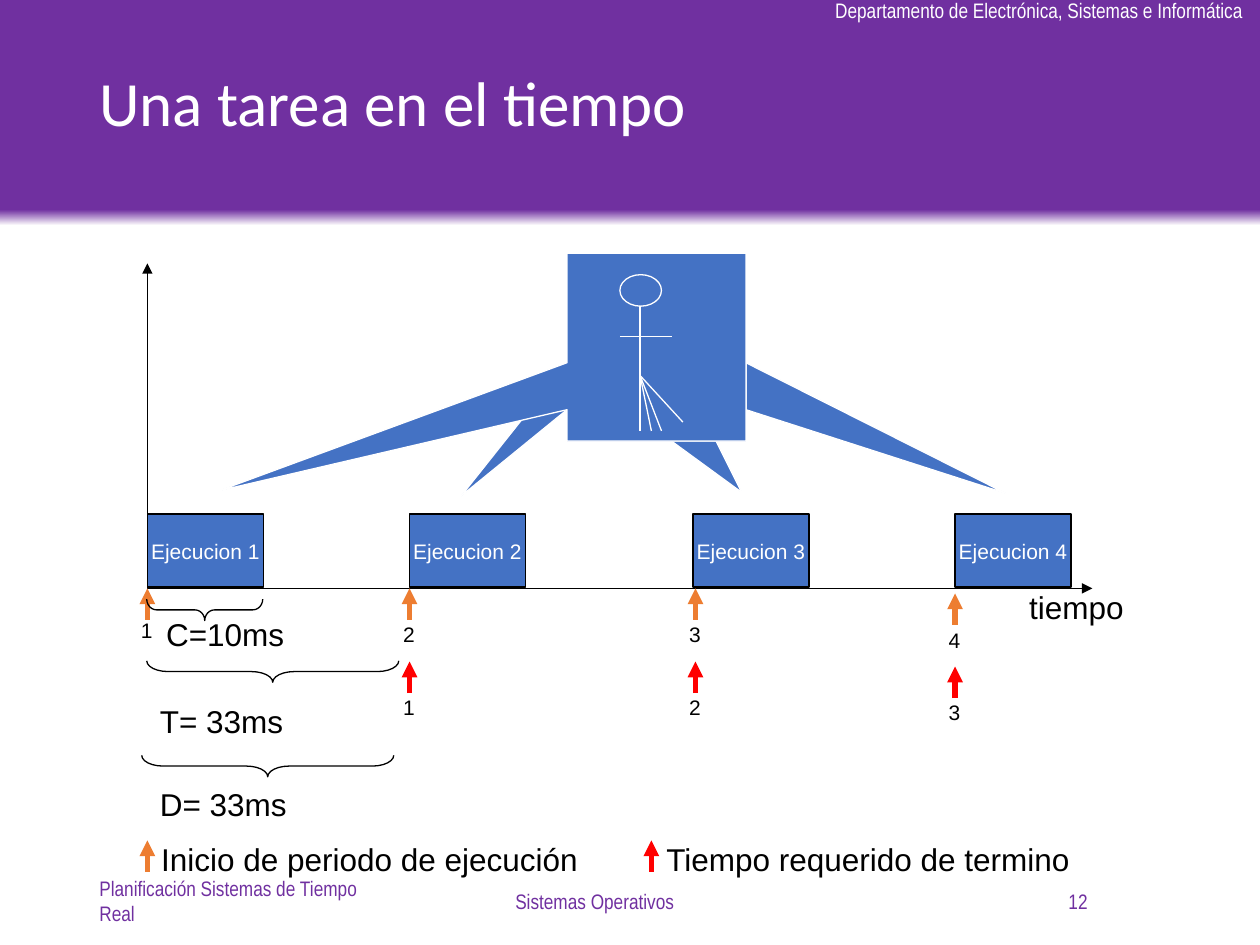
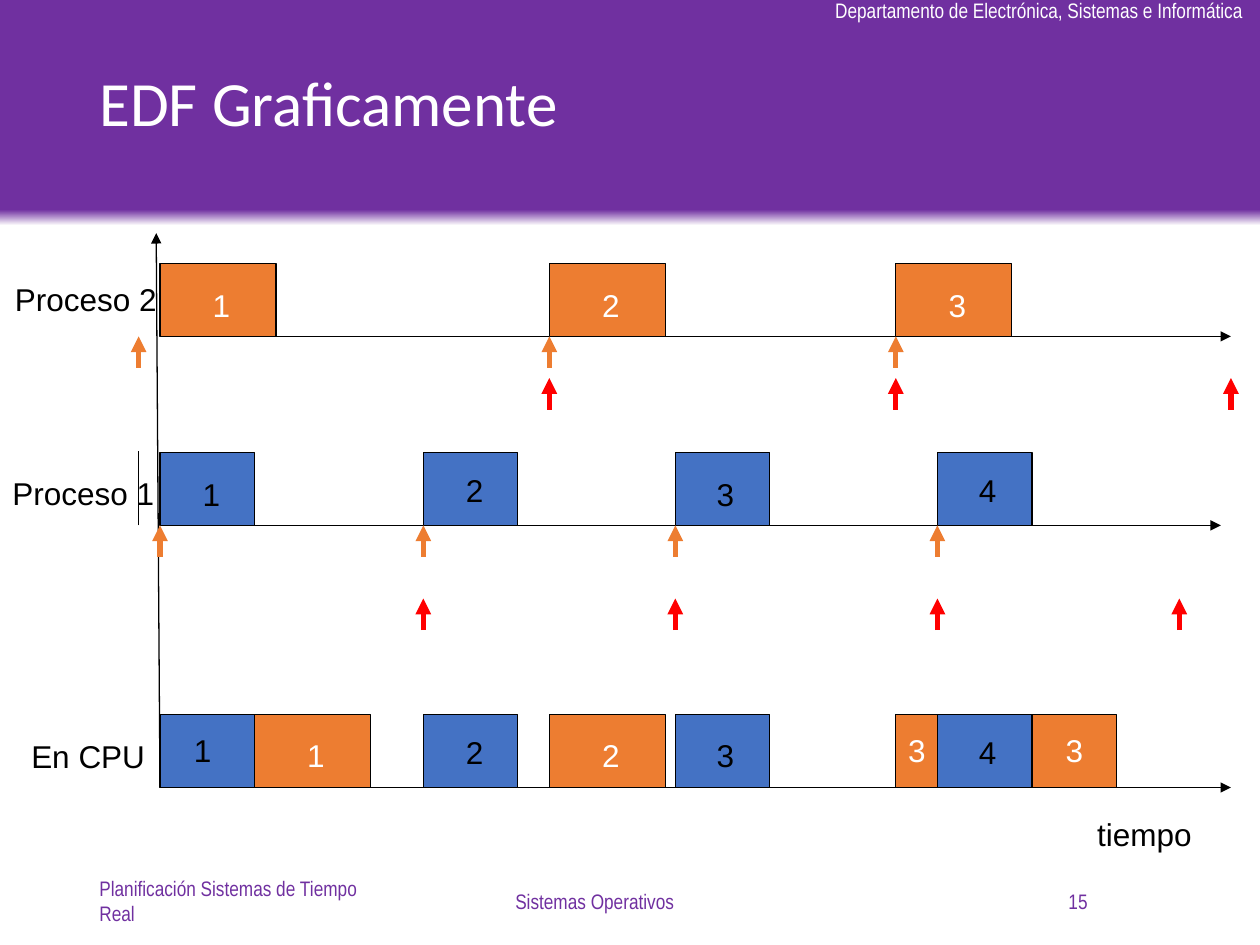
from lxml.etree import SubElement
from pptx import Presentation
from pptx.dml.color import RGBColor
from pptx.enum.shapes import MSO_CONNECTOR, MSO_SHAPE
from pptx.enum.text import MSO_ANCHOR, MSO_AUTO_SIZE, PP_ALIGN
from pptx.oxml.ns import qn
from pptx.util import Inches, Pt

COLORS = {
    "purple": "7030A0", "blue": "4472C4", "orange": "ED7D31",
    "red": "FF0000", "black": "000000", "white": "FFFFFF",
}
RGB = {name: RGBColor.from_string(value) for name, value in COLORS.items()}


def place(slide, at, text="", kind=None, fill=None, outline=None, adjust=(), rotation=0,
          size=18, font="Arial", color="black", align=PP_ALIGN.LEFT,
          anchor=MSO_ANCHOR.TOP, wrap=False, spacing=None):
    """Add a text box, or a preset shape when kind is given; at is left, top, width, height."""
    box = [Inches(value) for value in at]
    if kind is None:
        item = slide.shapes.add_textbox(*box)
    else:
        item = slide.shapes.add_shape(kind, *box)
        item.shadow.inherit = False
        item.rotation = rotation
        for index, value in enumerate(adjust):
            item.adjustments[index] = value
        if fill:
            item.fill.solid()
            item.fill.fore_color.rgb = RGB[fill]
        else:
            item.fill.background()
        if outline:
            item.line.color.rgb = RGB[outline]
            item.line.width = Pt(0.75)
        else:
            item.line.fill.background()
    if text:
        frame = item.text_frame
        frame.word_wrap = wrap
        frame.vertical_anchor = anchor
        if kind is None and not wrap:
            frame.auto_size = MSO_AUTO_SIZE.SHAPE_TO_FIT_TEXT
        paragraph = frame.paragraphs[0]
        paragraph.alignment = align
        paragraph.line_spacing = spacing
        run = paragraph.add_run()
        run.text = text
        run.font.size = Pt(size)
        run.font.name = font
        run.font.color.rgb = RGB[color]
    return item


def connect(slide, x1, y1, x2, y2, color="black", width=0.75, arrow=True):
    """Draw a straight line, with an arrowhead at its second point if wanted."""
    line = slide.shapes.add_connector(
        MSO_CONNECTOR.STRAIGHT, *[Inches(value) for value in (x1, y1, x2, y2)])
    line.line.color.rgb = RGB[color]
    line.line.width = Pt(width)
    if arrow:
        SubElement(line.line._get_or_add_ln(), qn("a:tailEnd"), type="triangle")
    SubElement(line._element.spPr, qn("a:effectLst"))


prs = Presentation()
prs.slide_width, prs.slide_height = Inches(10), Inches(7.5)

# Band, title and footers of both slides
slides = []
for title, number in (("Una tarea en el tiempo", "12"), ("EDF Graficamente", "15")):
    slide = prs.slides.add_slide(prs.slide_layouts[6])
    slides.append(slide)
    band = place(slide, (0, 0, 10, 1.79), kind=MSO_SHAPE.RECTANGLE)
    band.fill.gradient()
    band.fill.gradient_angle = 90
    for stop, position, color in zip(band.fill.gradient_stops, (0, 0.07), ("white", "purple")):
        stop.position = position
        stop.color.rgb = RGB[color]
    place(slide, (6.53, -0.07, 3.48, 0.3), "Departamento de Electrónica, Sistemas e Informática",
          size=12, font="Arial Narrow", color="white")
    place(slide, (0.69, 0.15, 8.62, 1.39), title, size=36, font="Calibri", color="white",
          anchor=MSO_ANCHOR.MIDDLE, wrap=True, spacing=0.9)
    for left, width, footer, align in (
            (0.69, 2.25, "Planificación Sistemas de Tiempo Real", PP_ALIGN.LEFT),
            (3.03, 3.38, "Sistemas Operativos", PP_ALIGN.CENTER),
            (6.48, 2.25, number, PP_ALIGN.RIGHT)):
        place(slide, (left, 6.95, width, 0.4), footer, size=12, font="Arial Narrow",
              color="purple", align=align, anchor=MSO_ANCHOR.MIDDLE, wrap=True)
task, edf = slides

BLOCK_HEIGHT = 0.58
ARROW_LENGTH = 0.25

# Slide 1: one task, run four times
for pointer in ((1.953, 0.779), (0.477, 0.774), (-1.092, 0.793), (-2.445, 0.765)):
    place(task, (4.5, 2.01, 1.42, 1.49), kind=MSO_SHAPE.RECTANGULAR_CALLOUT,
          fill="blue", outline="white", adjust=pointer)

connect(task, 1.17, 4.67, 8.67, 4.67)
connect(task, 1.17, 4.67, 1.17, 2.09)
place(task, (8.07, 4.62, 0.95, 0.4), "tiempo")

for run_number, left in enumerate((1.17, 3.25, 5.5, 7.58), 1):
    place(task, (left, 4.08, 0.92, BLOCK_HEIGHT), f"Ejecucion {run_number}",
          kind=MSO_SHAPE.RECTANGLE, fill="blue", outline="black", size=12, color="white",
          align=PP_ALIGN.CENTER, anchor=MSO_ANCHOR.MIDDLE)

# Period starts, each with the deadline of the run before it
for period, (x, top, drop) in enumerate(
        ((1.17, 4.67, 0.18), (3.25, 4.67, 0.21), (5.52, 4.67, 0.21), (7.58, 4.71, 0.22)), 1):
    connect(task, x, top + ARROW_LENGTH, x, top, "orange", 3)
    place(task, (x - 0.15, top + drop, 0.29, 0.3), str(period), size=12)
    if period > 1:
        deadline = top + 0.58
        connect(task, x, deadline + ARROW_LENGTH, x, deadline, "red", 3)
        place(task, (x - 0.15, deadline + 0.21, 0.29, 0.3), str(period - 1), size=12)

for x, color, left, width, meaning in (
        (1.17, "orange", 1.18, 3.51, "Inicio de periodo de ejecución"),
        (5.17, "red", 5.19, 3.41, "Tiempo requerido de termino")):
    connect(task, x, 6.67 + ARROW_LENGTH, x, 6.67, color, 3)
    place(task, (left, 6.62, width, 0.4), meaning)

# Stick figure: head, body, arms and legs
place(task, (4.92, 2.18, 0.33, 0.25), kind=MSO_SHAPE.OVAL, fill="blue", outline="white")
connect(task, 5.08, 2.43, 5.08, 2.98, "white", arrow=False)
connect(task, 4.92, 2.67, 5.33, 2.67, "white", arrow=False)
for foot_x, foot_y in ((5.08, 3.42), (5.17, 3.42), (5.25, 3.42), (5.42, 3.35)):
    connect(task, 5.08, 2.98, foot_x, foot_y, "white", arrow=False)

for brace_left, brace_top, span, curve, left, top, width, duration in (
        (1.54, 4.38, 0.92, 0.458, 1.22, 4.83, 1.14, "C=10ms"),
        (2.08, 4.33, 2, 1, 1.17, 5.52, 1.18, "T= 33ms"),
        (2.04, 5.08, 2, 1, 1.17, 6.18, 1.21, "D= 33ms")):
    place(task, (brace_left, brace_top, 0.17, span), kind=MSO_SHAPE.LEFT_BRACE,
          outline="black", adjust=(curve, 0.5), rotation=270)
    place(task, (left, top, width, 0.4), duration)

# Slide 2: two processes and how they share the CPU
connect(edf, 1.27, 6.25, 1.24, 1.85)
connect(edf, 1.1, 4.17, 1.1, 3.58, arrow=False)
place(edf, (8.61, 6.42, 0.95, 0.4), "tiempo")

# Blocks: left, width, colour, number, then the offset of the number from the block
timelines = (
    ("Proceso 2", (0.02, 2.17, 1.34), 2.67, 9.77, (
        (1.27, 0.92, "orange", "1", 0.32, 0.13),
        (4.36, 0.92, "orange", "2", 0.32, 0.13),
        (7.11, 0.92, "orange", "3", 0.32, 0.13))),
    ("Proceso 1", (0, 3.71, 1.34), 4.17, 9.69, (
        (1.27, 0.75, "blue", "1", 0.24, 0.13),
        (3.36, 0.75, "blue", "2", 0.24, 0.1),
        (5.36, 0.75, "blue", "3", 0.23, 0.13),
        (7.44, 0.75, "blue", "4", 0.23, 0.1))),
    ("En CPU", (0.15, 5.8, 1.1), 6.25, 9.77, (
        (1.27, 0.75, "blue", "1", 0.17, 0.08),
        (2.02, 0.92, "orange", "1", 0.32, 0.12),
        (3.36, 0.75, "blue", "2", 0.24, 0.1),
        (4.36, 0.92, "orange", "2", 0.32, 0.12),
        (5.36, 0.75, "blue", "3", 0.23, 0.12),
        (7.11, 0.33, "orange", "3", 0, 0.08),
        (7.44, 0.75, "blue", "4", 0.23, 0.1),
        (8.19, 0.67, "orange", "3", 0.17, 0.08))),
)
for name, (name_left, name_top, name_width), base, end, blocks in timelines:
    place(edf, (name_left, name_top, name_width, 0.4), name)
    connect(edf, 1.27, base, end, base)
    top = base - BLOCK_HEIGHT
    for left, width, fill, number, dx, dy in blocks:
        place(edf, (left, top, width, BLOCK_HEIGHT), kind=MSO_SHAPE.RECTANGLE,
              fill=fill, outline="black")
        place(edf, (left + dx, top + dy, 0.34, 0.4), number,
              color="white" if fill == "orange" else "black")

for color, top, positions in (
        ("orange", 2.67, (1.1, 4.36, 7.11)),
        ("red", 3, (4.36, 7.11, 9.77)),
        ("orange", 4.17, (1.27, 3.36, 5.36, 7.44)),
        ("red", 4.75, (3.36, 5.36, 7.44, 9.36))):
    for x in positions:
        connect(edf, x, top + ARROW_LENGTH, x, top, color, 3)

prs.save("out.pptx")
